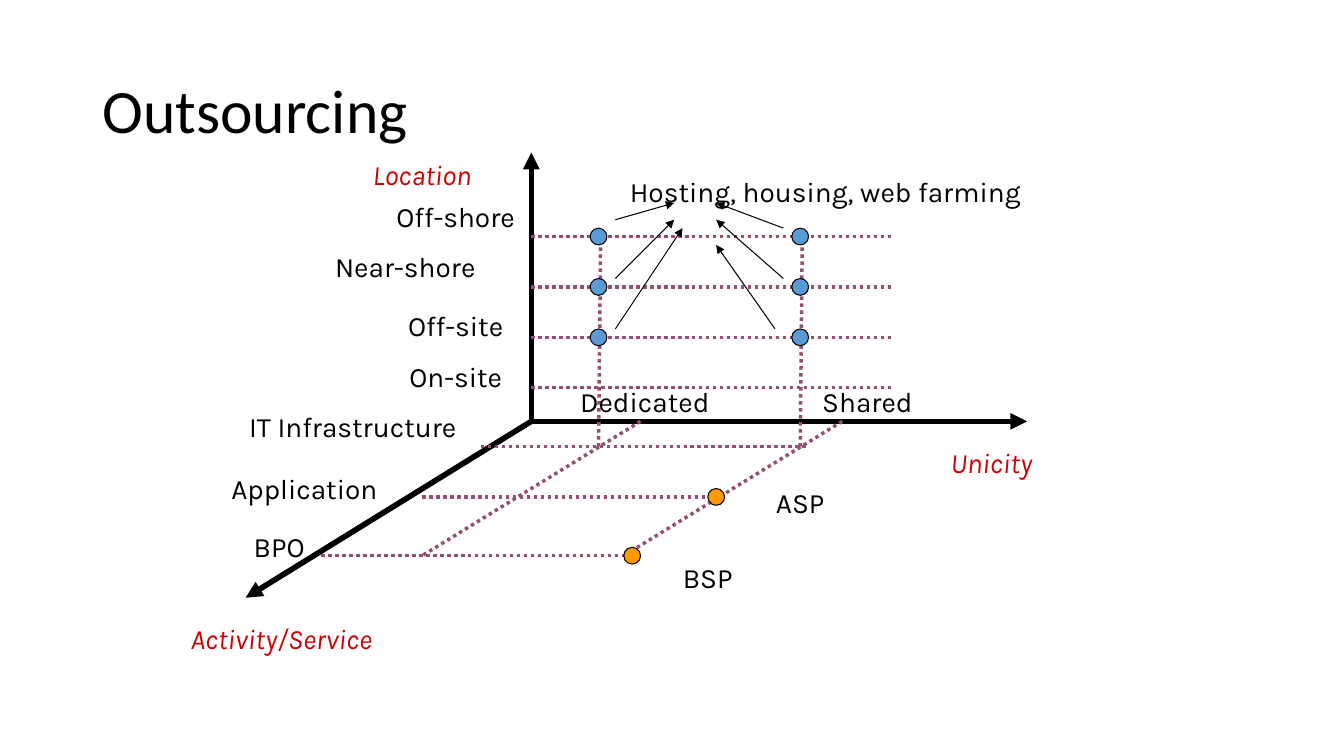
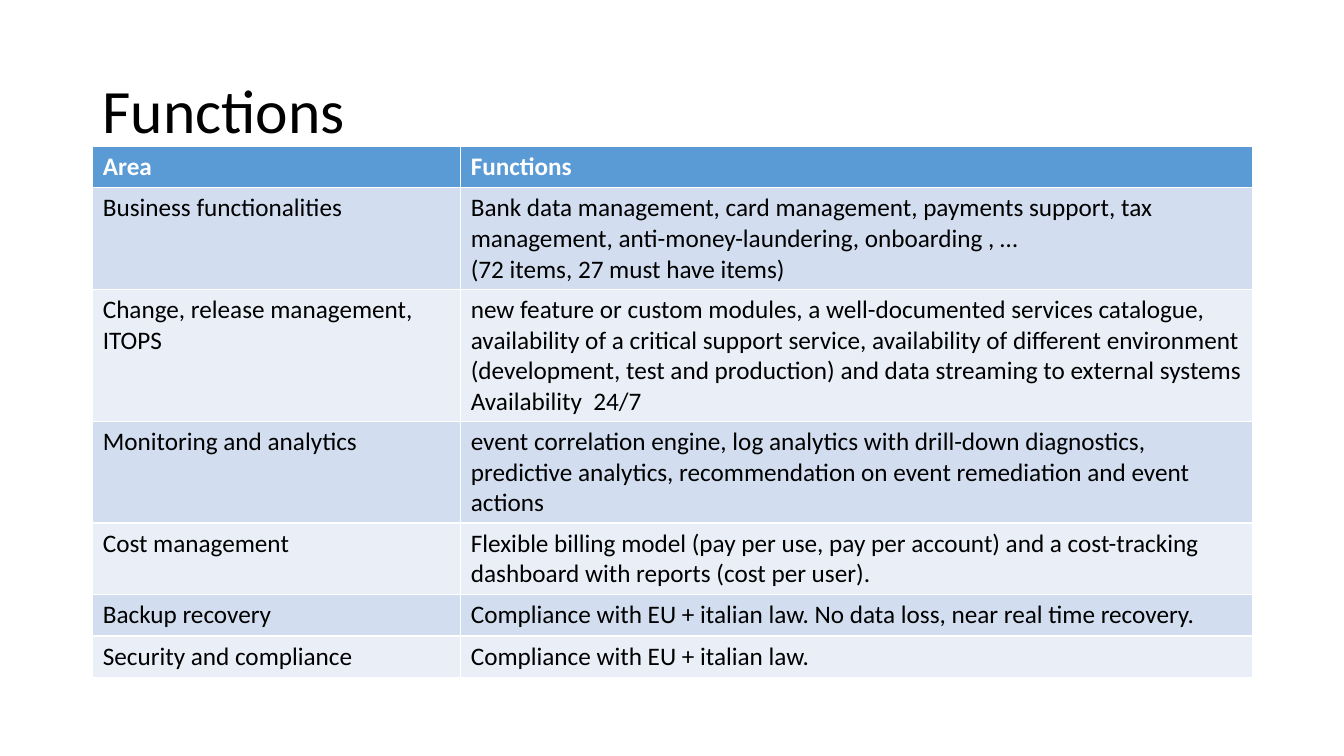
from dataclasses import dataclass
from itertools import product

from lxml import etree
from pptx import Presentation
from pptx.dml.color import RGBColor
from pptx.enum.dml import MSO_LINE
from pptx.enum.shapes import MSO_CONNECTOR, MSO_SHAPE
from pptx.enum.text import MSO_ANCHOR, PP_ALIGN
from pptx.oxml.ns import qn
from pptx.slide import Slide
from pptx.util import Inches, Length, Pt

STRAIGHT = MSO_CONNECTOR.STRAIGHT
OVAL = MSO_SHAPE.OVAL
DOTTED = MSO_LINE.ROUND_DOT
CENTER = PP_ALIGN.CENTER
MIDDLE = MSO_ANCHOR.MIDDLE

BLACK = RGBColor(0x00, 0x00, 0x00)
WHITE = RGBColor(0xFF, 0xFF, 0xFF)
RED = RGBColor(0xCC, 0x00, 0x00)
PLUM = RGBColor(0x95, 0x4F, 0x72)
BLUE = RGBColor(0x5B, 0x9B, 0xD5)
ORANGE = RGBColor(0xFF, 0x99, 0x00)
BANDS = (RGBColor(0xD2, 0xDE, 0xEF), RGBColor(0xEA, 0xEF, 0xF7))

BODY, LABEL = "Calibri", "Karla"
WIDE, HIGH = 13.33, 7.5
LEFT, SPAN = 0.92, 11.5

# Diagram grid: twelve steps to the inch, counted from where the axes meet
STEP = 1 / 12
ZERO_X, ZERO_Y = 5.27, 4.18
LEVELS = (-22, -16, -10, -4)
MODES = (8, 32)
FLOOR = 3  # row of the infrastructure line
DEPTH = 16  # row of the BPO line

Point = tuple[float, float]


@dataclass(frozen=True)
class Stroke:
    color: RGBColor
    width: float
    dotted: bool = False
    arrow: bool = False


@dataclass(frozen=True)
class Line:
    start: Point
    end: Point
    stroke: Stroke


@dataclass(frozen=True)
class Label:
    text: str
    mid: float
    top: float
    width: float
    axis: bool = False


@dataclass(frozen=True)
class Dot:
    mid: Point
    color: RGBColor


@dataclass(frozen=True)
class Row:
    area: str
    detail: str
    lines: int


AXIS = Stroke(BLACK, 4, arrow=True)
GUIDE = Stroke(PLUM, 2.5, dotted=True)
POINTER = Stroke(BLACK, 0.75, arrow=True)

AXES = [Line((0, 0), end, AXIS) for end in ((59, 0), (0, -32), (-34, 21))]
GUIDES = (
    [Line((0, y), (43, y), GUIDE) for y in LEVELS]
    + [Line((x, FLOOR), (x + 0.25, LEVELS[0]), GUIDE) for x in MODES]
    + [Line((x, 0), (x - 26, DEPTH), GUIDE) for x in (13, 37)]
    + [Line((x, y), (end, y), GUIDE)
       for x, end, y in ((-6, 33, FLOOR), (-13, 22, 9), (-25, 12, DEPTH))]
)
POINTERS = [
    Line(start, end, POINTER)
    for start, end in (
        ((10, -24), (17, -26)), ((10, -17), (17, -24)), ((10, -11), (18, -23)),
        ((30, -23), (22, -26)), ((30, -17), (22, -24)), ((29, -11), (22, -21)),
    )
]
DOTS = [Dot(mid, BLUE) for mid in product(MODES, LEVELS[:3])] + [
    Dot((22, 9), ORANGE),
    Dot((12, DEPTH), ORANGE),
]
LABELS = (
    Label("Off-shore", -9, -27, 18),
    Label("Near-shore", -15, -21, 28),
    Label("Off-site", -9, -14, 16),
    Label("On-site", -9, -8, 16),
    Label("IT Infrastructure", -21.25, -2, 30),
    Label("Application", -27, 5.4, 36),
    Label("BPO", -30, 12.25, 12),
    Label("Dedicated", 13.5, -5, 20),
    Label("Shared", 40, -5, 16),
    Label("ASP", 32, 7, 16),
    Label("BSP", 21, 16, 16),
    Label("Hosting, housing, web farming", 35, -30, 58),
    Label("Activity/Service", -29.75, 23.25, 28, axis=True),
    Label("Unicity", 54.75, 2.25, 16, axis=True),
    Label("Location", -13, -32, 22, axis=True),
)

ROWS = (
    Row("Area", "Functions", 1),
    Row("Business functionalities",
        "Bank data management, card management, payments support, tax "
        "management, anti-money-laundering, onboarding , …\n"
        "(72 items, 27 must have items)", 3),
    Row("Change, release management, ITOPS",
        "new feature or custom modules, a well-documented services catalogue, "
        "availability of a critical support service, availability of different "
        "environment (development, test and production) and data streaming to "
        "external systems\nAvailability  24/7", 4),
    Row("Monitoring and analytics",
        "event correlation engine, log analytics with drill-down diagnostics, "
        "predictive analytics, recommendation on event remediation and event "
        "actions", 3),
    Row("Cost management",
        "Flexible billing model (pay per use, pay per account) and a "
        "cost-tracking dashboard with reports (cost per user).", 2),
    Row("Backup recovery",
        "Compliance with EU + italian law. No data loss, near real time "
        "recovery.", 1),
    Row("Security and compliance", "Compliance with EU + italian law.", 1),
)


def grid(point: Point) -> tuple[Length, Length]:
    x, y = point
    return Inches(ZERO_X + x * STEP), Inches(ZERO_Y + y * STEP)


def style(frame, face: str, size: float, color: RGBColor,
          bold: bool = False, italic: bool = False) -> None:
    for para in frame.paragraphs:
        for run in para.runs:
            font = run.font
            font.name, font.size = face, Pt(size)
            font.bold, font.italic = bold, italic
            font.color.rgb = color


def add_title(slide: Slide, text: str) -> None:
    box = slide.shapes.add_textbox(
        Inches(LEFT), Inches(0.4), Inches(SPAN), Inches(1.45))
    frame = box.text_frame
    frame.word_wrap = True
    frame.vertical_anchor = MIDDLE
    frame.text = text
    frame.paragraphs[0].line_spacing = 0.9
    style(frame, BODY, 44, BLACK)


def add_line(slide: Slide, line: Line) -> None:
    shape = slide.shapes.add_connector(
        STRAIGHT, *grid(line.start), *grid(line.end))
    stroke = line.stroke
    shape.line.color.rgb = stroke.color
    shape.line.width = Pt(stroke.width)
    if stroke.dotted:
        shape.line.dash_style = DOTTED
    props = shape._element.spPr
    if stroke.arrow:
        etree.SubElement(props.find(qn("a:ln")), qn("a:tailEnd"), type="triangle")
    etree.SubElement(props, qn("a:effectLst"))


def add_dot(slide: Slide, dot: Dot) -> None:
    x, y = dot.mid
    size = Inches(2 * STEP)
    shape = slide.shapes.add_shape(OVAL, *grid((x - 1, y - 1)), size, size)
    shape.shadow.inherit = False
    shape.fill.solid()
    shape.fill.fore_color.rgb = dot.color
    shape.line.color.rgb = BLACK
    shape.line.width = Pt(0.75)


def add_label(slide: Slide, label: Label) -> None:
    spot = grid((label.mid - label.width / 2, label.top))
    box = slide.shapes.add_textbox(
        *spot, Inches(label.width * STEP), Inches(5 * STEP))
    frame = box.text_frame
    frame.word_wrap = True
    frame.text = label.text
    frame.paragraphs[0].alignment = CENTER
    style(frame, LABEL, 20, RED if label.axis else BLACK, italic=label.axis)


def add_grid(slide: Slide, rows: tuple[Row, ...]) -> None:
    heights = [Inches(0.11 + 0.3 * row.lines) for row in rows]
    table = slide.shapes.add_table(
        len(rows), 2, Inches(LEFT), Inches(1.45), Inches(SPAN), sum(heights)
    ).table
    for col, width in zip(table.columns, (3.65, 7.85)):
        col.width = Inches(width)
    for i, row in enumerate(rows):
        table.rows[i].height = heights[i]
        head = i == 0
        for cell, text in zip(table.rows[i].cells, (row.area, row.detail)):
            cell.text_frame.text = text
            cell.fill.solid()
            cell.fill.fore_color.rgb = BLUE if head else BANDS[(i - 1) % 2]
            style(cell.text_frame, BODY, 18, WHITE if head else BLACK, bold=head)


def main() -> None:
    deck = Presentation()
    deck.slide_width, deck.slide_height = Inches(WIDE), Inches(HIGH)
    blank = deck.slide_layouts[6]

    # Outsourcing: three axes, guides, dots and labels
    slide = deck.slides.add_slide(blank)
    add_title(slide, "Outsourcing")
    for line in AXES + GUIDES:
        add_line(slide, line)
    for dot in DOTS:
        add_dot(slide, dot)
    for line in POINTERS:
        add_line(slide, line)
    for label in LABELS:
        add_label(slide, label)

    # Functions: one table
    slide = deck.slides.add_slide(blank)
    add_title(slide, "Functions")
    add_grid(slide, ROWS)

    deck.save("out.pptx")


if __name__ == "__main__":
    main()
